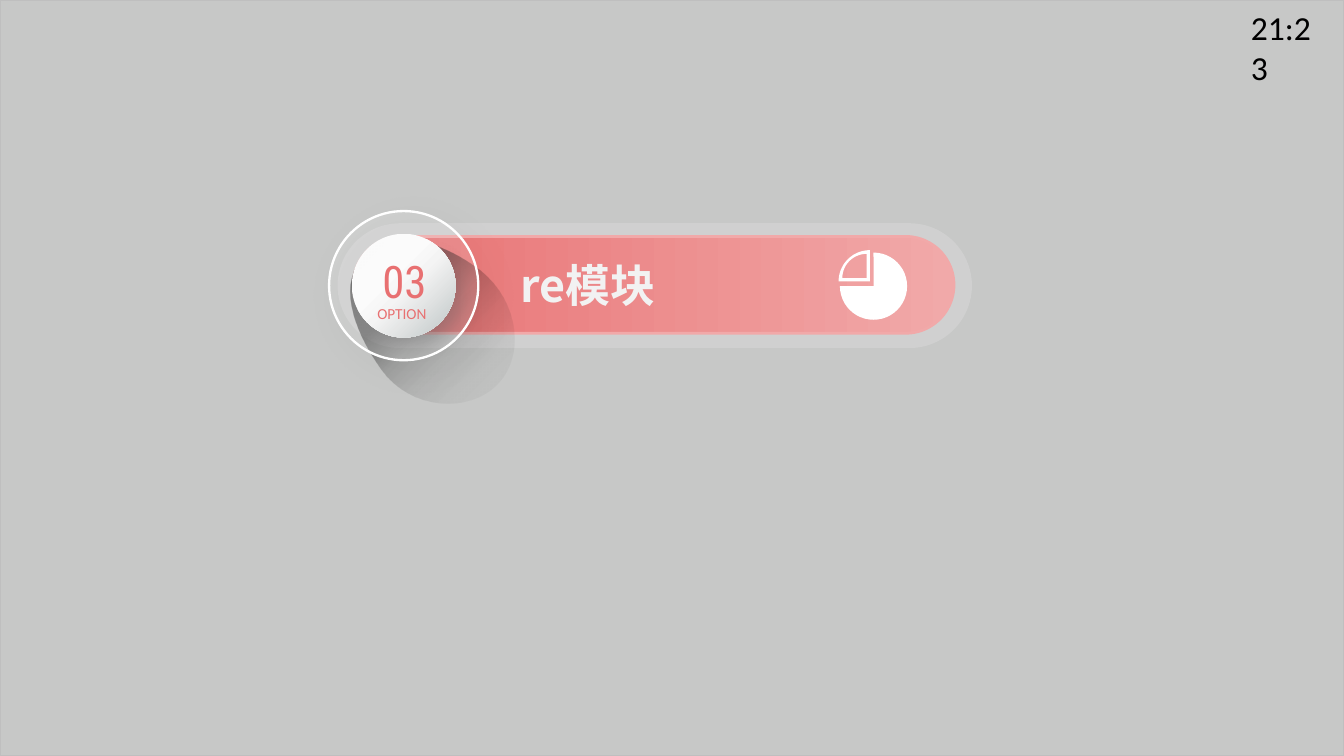
from math import cos, pi, sin

from lxml import etree
from pptx import Presentation
from pptx.dml.color import RGBColor
from pptx.enum.shapes import MSO_SHAPE
from pptx.enum.text import MSO_ANCHOR, PP_ALIGN
from pptx.oxml.ns import qn
from pptx.util import Cm, Pt

RECT, ROUND = MSO_SHAPE.RECTANGLE, MSO_SHAPE.ROUNDED_RECTANGLE
OVAL, PIE = MSO_SHAPE.OVAL, MSO_SHAPE.PIE
LEFT, CENTER = PP_ALIGN.LEFT, PP_ALIGN.CENTER
TOP, MIDDLE = MSO_ANCHOR.TOP, MSO_ANCHOR.MIDDLE

WIDTH, HEIGHT = 25.4, 14.29
CORAL, PINK, WHITE = "E87071", "F1A9A9", "FFFFFF"
TITLE = ("re模块", (9.58, 4.75, 6.12, 1.27))
LABELS = [
    ("03", (6.83, 4.67, 1.63, 1.27), dict(size=24, font="Roboto Condensed")),
    ("OPTION", (6.63, 5.61, 1.93, 0.61), dict(size=8.2, font="Calibri")),
]
CLOCK = ("21:23", (23.39, 0, 1.7, 0.71))
BADGE = (7.63, 5.4)
PIE_CENTER, PIE_SIZE = (16.51, 5.41), 1.27
SLICE = [((16.44, 5.32), 0.59), ((16.38, 5.26), 0.46)]
SHADE_START = (7.21, 6.99)
SHADE_CURVES = [
    ((6.65, 6.2), (6.38, 5.33), (6.91, 4.8)),
    ((7.42, 4.29), (8.33, 4.55), (9.07, 5.11)),
    ((9.83, 5.72), (9.91, 6.78), (9.37, 7.29)),
    ((8.86, 7.8), (7.77, 7.77), SHADE_START),
]
SHADE_STOPS = [(0, "000000", 100), (17, "000000", 46), (34, "000000", 43),
               (51, "000000", 20), (65, "000000", 10), (78, "000000", 5),
               (100, "000000", 0)]
BALL_STOPS = [(0, WHITE), (43, "F7F7F7"), (100, "B8C0C0")]
DISC_STOPS = [(11, WHITE), (39, WHITE), (53, "F7F7F7"), (100, "B8C0C0")]


def rgb(value):
    return RGBColor.from_string(value)


def box(center, size):
    return center[0] - size / 2, center[1] - size / 2, size, size


def add_color(parent, color, alpha=100):
    c = etree.SubElement(parent, qn("a:srgbClr"), val=color)
    if alpha < 100:
        etree.SubElement(c, qn("a:alpha"), val=str(alpha * 1000))


def style(sp, fill, alpha=100, angle=0, line=None, width=1, shadow=None):
    sp.shadow.inherit = False
    sp.fill.background()
    old = sp._element.spPr.find(qn("a:noFill"))
    if isinstance(fill, str):
        new = etree.Element(qn("a:solidFill"))
        add_color(new, fill, alpha)
    else:
        new = etree.Element(qn("a:gradFill"), rotWithShape="1")
        stops = etree.SubElement(new, qn("a:gsLst"))
        for pos, *color in fill:
            add_color(etree.SubElement(stops, qn("a:gs"), pos=str(pos * 1000)), *color)
        etree.SubElement(new, qn("a:lin"), ang=str(angle * 60000), scaled="0")
    old.getparent().replace(old, new)
    if line:
        sp.line.color.rgb = rgb(line)
        sp.line.width = Pt(width)
    else:
        sp.line.fill.background()
    if shadow:
        color, opacity, blur, dist = shadow
        effects = sp._element.spPr.find(qn("a:effectLst"))
        outer = etree.SubElement(effects, qn("a:outerShdw"), blurRad=str(Pt(blur)),
                                 dist=str(Pt(dist)), dir="2700000", algn="tl",
                                 rotWithShape="0")
        add_color(outer, color, opacity)


def add_shape(s, kind, place, fill, adj=(), **fmt):
    sp = s.shapes.add_shape(kind, *map(Cm, place))
    for i, value in enumerate(adj):
        sp.adjustments[i] = value
    style(sp, fill, **fmt)


def add_outline(s, contours, fill, **fmt):
    points = [[(Cm(x), Cm(y)) for x, y in c] for c in contours]
    fb = s.shapes.build_freeform(*points[0][0])
    fb.add_line_segments(points[0][1:])
    for contour in points[1:]:
        fb.move_to(*contour[0])
        fb.add_line_segments(contour[1:])
    style(fb.convert_to_shape(), fill, **fmt)


def curve_points(start, curves, steps=16):
    points = [start]
    for a, b, end in curves:
        for i in range(1, steps + 1):
            t, u = i / steps, 1 - i / steps
            points.append(tuple(
                u ** 3 * p0 + 3 * u * u * t * p1 + 3 * u * t * t * p2 + t ** 3 * p3
                for p0, p1, p2, p3 in zip(start, a, b, end)))
        start = end
    return points


def quarter(corner, radius, steps=20):
    x, y = corner
    angles = [pi + pi / 2 * i / steps for i in range(steps + 1)]
    arc = [(x + radius * (1 + cos(a)) - radius, y + radius * sin(a)) for a in angles]
    return [corner, *arc, corner]


def set_text(sp, text, place, size=18, font="Calibri", color=CORAL, bold=False,
             align=CENTER, anchor=MIDDLE):
    sp.left, sp.top, sp.width, sp.height = map(Cm, place)
    tf = sp.text_frame
    tf.word_wrap = True
    tf.vertical_anchor = anchor
    p = tf.paragraphs[0]
    p.alignment = align
    r = p.add_run()
    r.text = text
    r.font.size, r.font.name, r.font.bold = Pt(size), font, bold
    r.font.color.rgb = rgb(color)
    etree.SubElement(r.font._element, qn("a:ea"), typeface=font)


def add_text(s, text, place, **fmt):
    set_text(s.shapes.add_textbox(*map(Cm, place)), text, place, **fmt)


def main():
    prs = Presentation()
    prs.slide_width, prs.slide_height = Cm(WIDTH), Cm(HEIGHT)
    s = prs.slides.add_slide(prs.slide_layouts[5])

    add_shape(s, RECT, (0, 0, WIDTH, HEIGHT), "020701", alpha=22, line="BFBFBF")
    add_text(s, *CLOCK, color="000000", align=LEFT, anchor=TOP)

    add_shape(s, ROUND, (6.38, 4.22, 11.99, 2.36), "D9D9D9", adj=[0.5], alpha=50)
    add_shape(s, ROUND, (6.68, 4.47, 11.35, 1.83), [(0, CORAL), (100, PINK)],
              adj=[0.5], line=PINK, width=1.5)

    add_outline(s, [curve_points(SHADE_START, SHADE_CURVES)], SHADE_STOPS, angle=45)
    add_shape(s, OVAL, box((7.71, 5.5), 1.65), BALL_STOPS, angle=45,
              shadow=("494949", 30, 11, 7))
    add_shape(s, OVAL, box(BADGE, 1.96), DISC_STOPS, angle=45)
    add_shape(s, OVAL, box(BADGE, 2.82), WHITE, alpha=14, line=WHITE, width=1.25,
              shadow=("000000", 11, 17, 7))
    for text, place, fmt in LABELS:
        add_text(s, text, place, **fmt)

    title = s.shapes.title
    set_text(title, *TITLE, size=24, font="Noto Sans CJK SC", color="F2F2F2",
             bold=True, align=LEFT)
    s.shapes._spTree.append(title._element)
    add_shape(s, PIE, box(PIE_CENTER, PIE_SIZE), WHITE, adj=[162, 108])
    add_outline(s, [quarter(*part) for part in SLICE], WHITE)

    prs.save("out.pptx")


if __name__ == "__main__":
    main()
